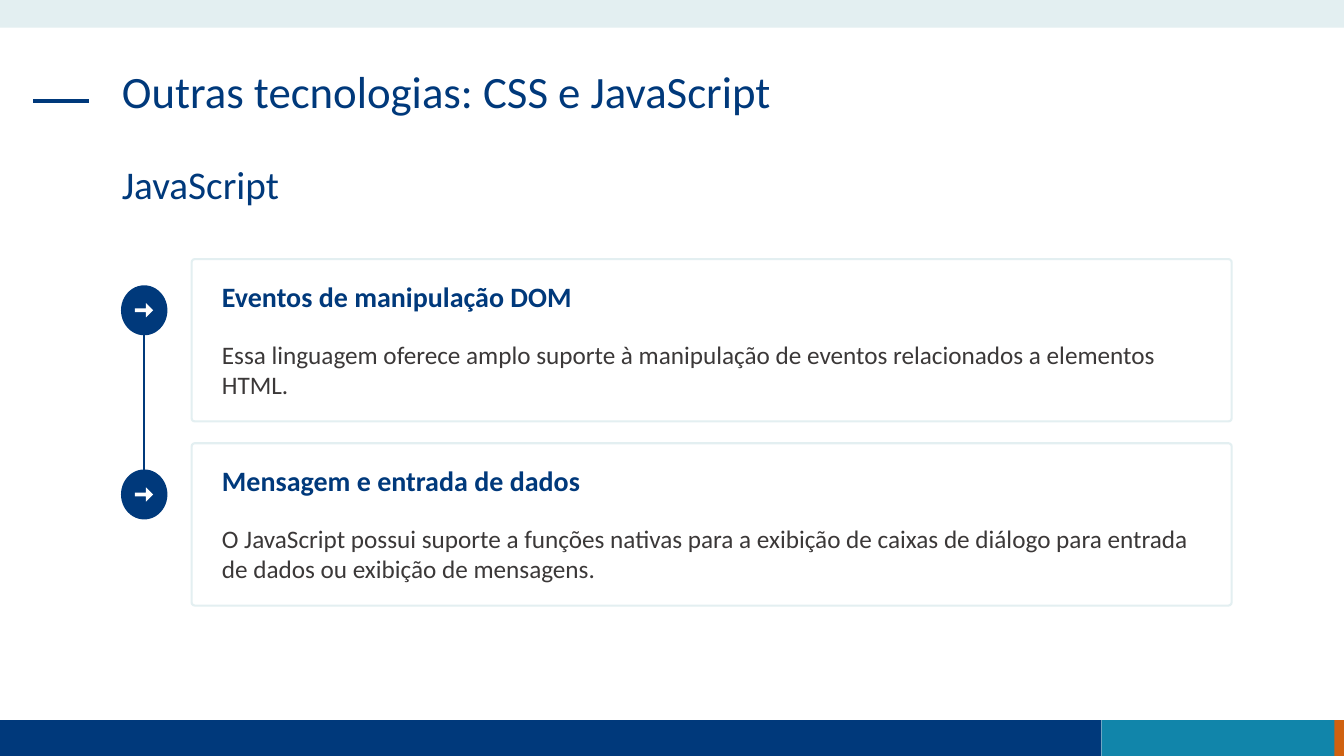
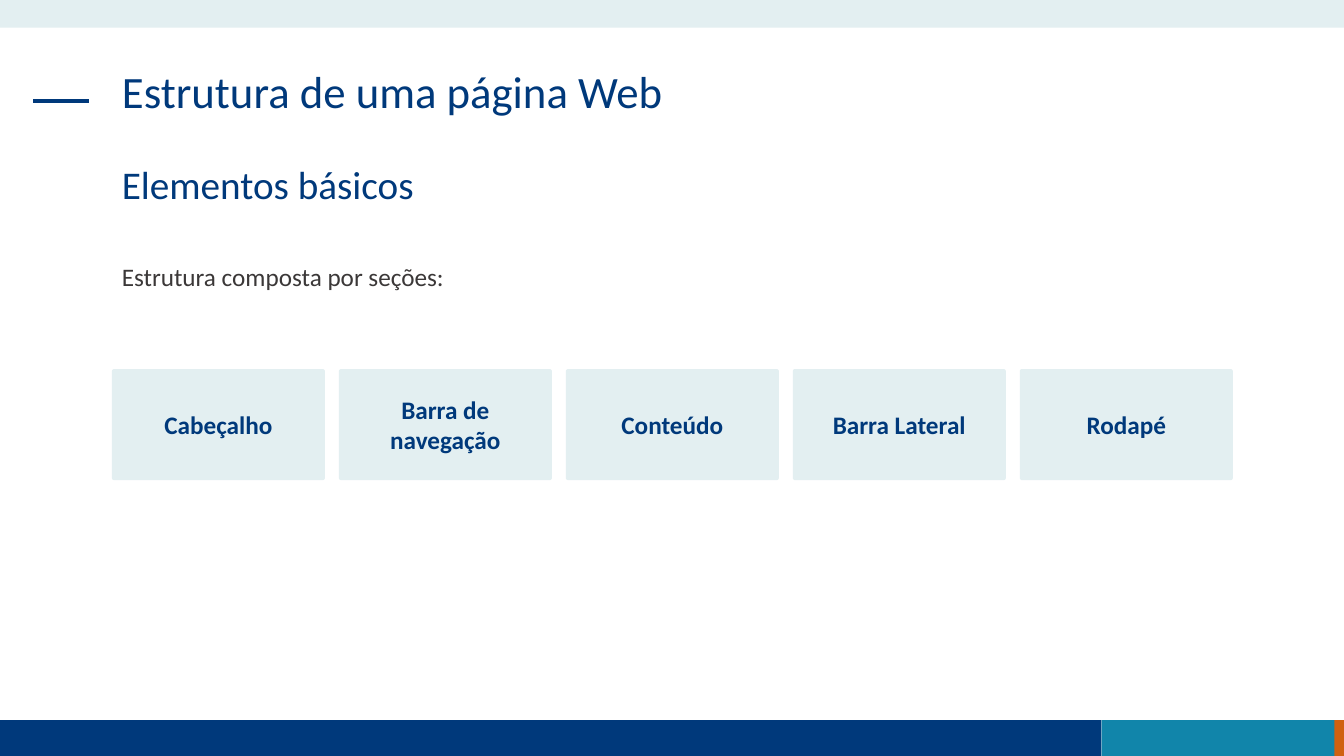
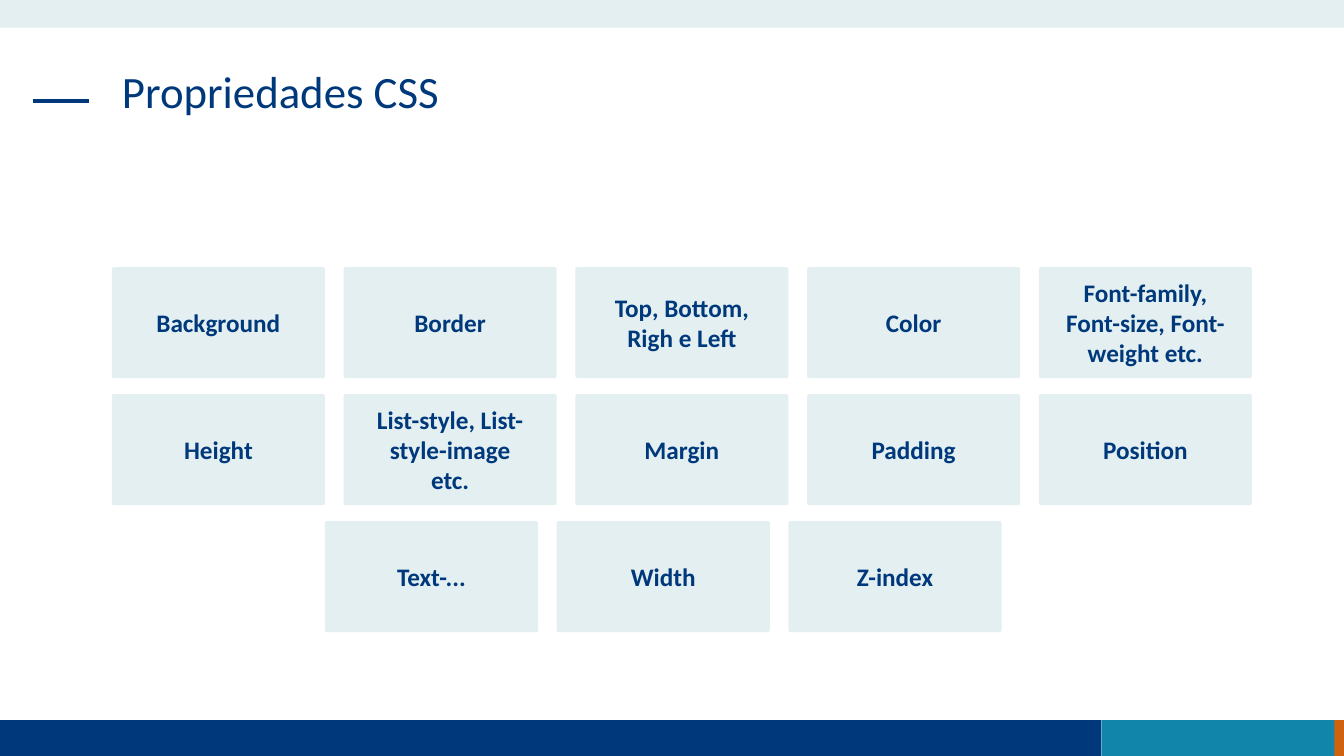
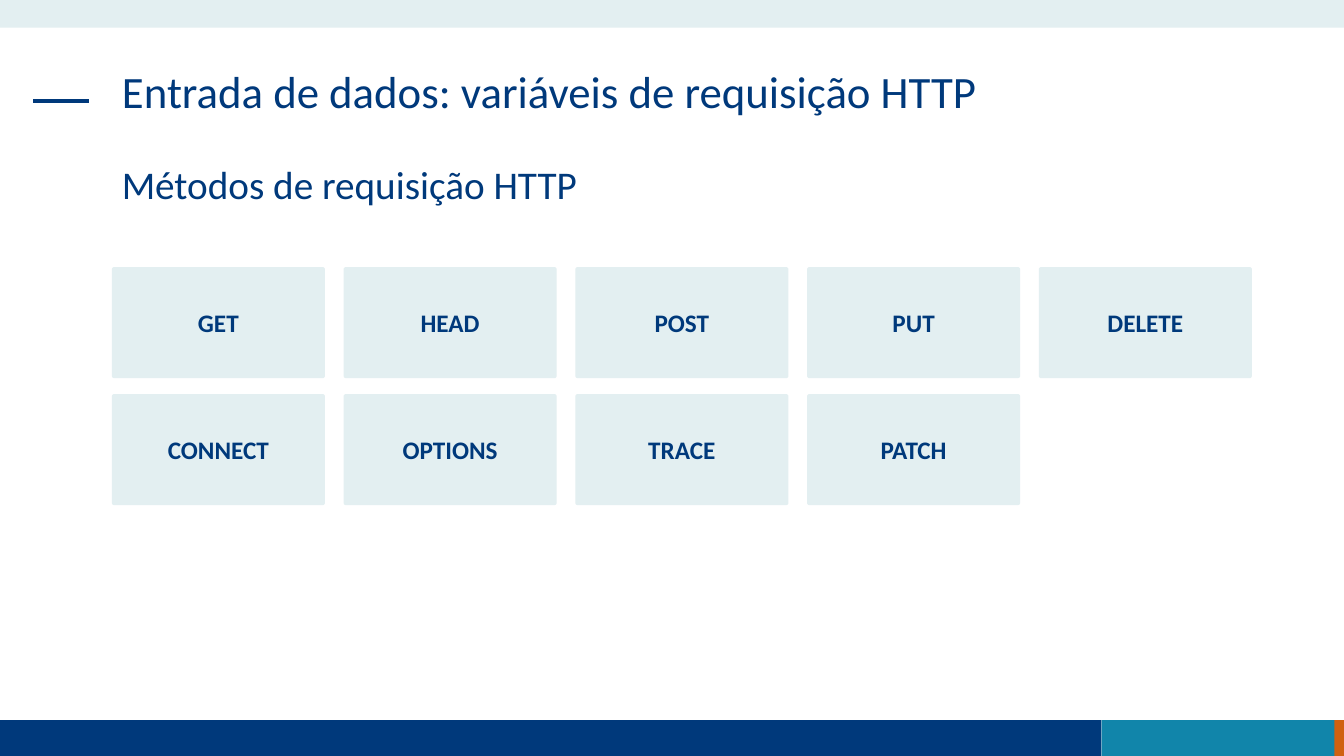
from lxml.etree import SubElement
from pptx import Presentation
from pptx.dml.color import RGBColor
from pptx.enum.shapes import MSO_CONNECTOR, MSO_SHAPE
from pptx.enum.text import MSO_ANCHOR, PP_ALIGN
from pptx.oxml.ns import qn
from pptx.util import Cm, Pt

COLORS = {
    "navy": "00397B",
    "teal": "1185AA",
    "orange": "D06110",
    "pale": "E3EFF1",
    "ink": "3B3838",
    "white": "FFFFFF",
}
FONT = "Calibri"
WIDTH, HEIGHT = 33.87, 19.05
LEFT, TEXT_WIDTH = 2.82, 28.19
TILE_WIDTH, TILE_HEIGHT = 5.37, 2.8
ROW_PITCH = 3.2
GRID_TOP, GRID_PITCH = 6.73, 5.84
BANDS = [
    ("orange", 32.82, 18.15, 1.05, 0.9),
    ("navy", 0, 18.15, 27.76, 0.9),
    ("teal", 27.76, 18.15, 5.87, 0.9),
    ("pale", 0, 0, WIDTH, 0.7),
]


def color(name):
    return RGBColor.from_string(COLORS[name])


class SlideBuilder:
    def __init__(self):
        self.deck = Presentation()
        self.deck.slide_width = Cm(WIDTH)
        self.deck.slide_height = Cm(HEIGHT)
        self.page = None

    def new_page(self, title, subtitle=None):
        self.page = self.deck.slides.add_slide(self.deck.slide_layouts[5])
        for fill, *place in BANDS:
            self.shape(MSO_SHAPE.RECTANGLE, *place, fill=fill)
        self.line(0.84, 2.54, 2.24, 2.54, 3)
        box = self.page.shapes.title
        box.left, box.top, box.width, box.height = Cm(LEFT), Cm(1.63), Cm(TEXT_WIDTH), Cm(2.39)
        self.fill_frame(box.text_frame, title, 32, spacing=0.9)
        if subtitle:
            self.text(subtitle, 4.04, 2.39, 28, spacing=0.9)

    def fill_frame(self, frame, text, size, ink="navy", bold=False,
                   align=PP_ALIGN.LEFT, anchor=MSO_ANCHOR.TOP, spacing=1.0):
        frame.word_wrap = True
        frame.vertical_anchor = anchor
        self.paragraph(frame.paragraphs[0], text, size, ink, bold, align, spacing)

    def paragraph(self, para, text, size, ink="navy", bold=False,
                  align=PP_ALIGN.LEFT, spacing=1.0):
        para.alignment = align
        para.line_spacing = spacing
        span = para.add_run()
        span.text = text
        span.font.name = FONT
        span.font.size = Pt(size)
        span.font.bold = bold
        span.font.color.rgb = color(ink)

    def text(self, text, top, height, size, **style):
        box = self.page.shapes.add_textbox(Cm(LEFT), Cm(top), Cm(TEXT_WIDTH), Cm(height))
        self.fill_frame(box.text_frame, text, size, **style)

    def shape(self, kind, left, top, width, height, fill=None, outline=None, adjust=()):
        box = self.page.shapes.add_shape(kind, Cm(left), Cm(top), Cm(width), Cm(height))
        box.shadow.inherit = False
        for index, value in enumerate(adjust):
            box.adjustments[index] = value
        if fill:
            box.fill.solid()
            box.fill.fore_color.rgb = color(fill)
        else:
            box.fill.background()
        if outline:
            box.line.color.rgb = color(outline)
            box.line.width = Pt(1.5)
        else:
            box.line.fill.background()
        return box

    def line(self, x1, y1, x2, y2, weight):
        rule = self.page.shapes.add_connector(
            MSO_CONNECTOR.STRAIGHT, Cm(x1), Cm(y1), Cm(x2), Cm(y2))
        rule.line.color.rgb = color("navy")
        rule.line.width = Pt(weight)
        SubElement(rule.element.spPr, qn("a:effectLst"))

    def tile(self, label, left, top):
        box = self.shape(MSO_SHAPE.ROUNDED_RECTANGLE, left, top, TILE_WIDTH, TILE_HEIGHT,
                         fill="pale", adjust=[0.02])
        frame = box.text_frame
        frame.margin_left = frame.margin_right = Cm(0.61)
        frame.margin_top = frame.margin_bottom = 0
        self.fill_frame(frame, label, 18, bold=True,
                        align=PP_ALIGN.CENTER, anchor=MSO_ANCHOR.MIDDLE)

    def tile_row(self, labels, top, pitch, left=LEFT):
        for column, label in enumerate(labels):
            self.tile(label, left + column * pitch, top)

    def card(self, heading, body, top):
        box = self.shape(MSO_SHAPE.ROUNDED_RECTANGLE, 4.83, top, 26.21, 4.09,
                         outline="pale", adjust=[0.02])
        frame = box.text_frame
        frame.margin_left, frame.margin_right = Cm(0.74), Cm(1.04)
        frame.margin_top, frame.margin_bottom = Cm(0.48), Cm(0.3)
        self.fill_frame(frame, heading, 20, bold=True)
        para = frame.add_paragraph()
        para.space_before = Pt(19)
        self.paragraph(para, body, 18, ink="ink")

    def marker(self, top):
        self.shape(MSO_SHAPE.OVAL, 3.05, top, 1.17, 1.26, fill="navy")
        self.shape(MSO_SHAPE.RIGHT_ARROW, 3.4, top + 0.45, 0.46, 0.36,
                   fill="white", adjust=[0.26, 0.5])

    def timeline(self, cards, top, pitch):
        tops = [top + index * pitch for index in range(len(cards))]
        self.line(3.62, tops[0] + 1.29, 3.62, tops[-1] + 1.29, 1.5)
        for (heading, body), card_top in zip(cards, tops):
            self.marker(card_top + 0.66)
            self.card(heading, body, card_top)


def main():
    builder = SlideBuilder()

    builder.new_page("Outras tecnologias: CSS e JavaScript", "JavaScript")
    builder.timeline([
        ("Eventos de manipulação DOM",
         "Essa linguagem oferece amplo suporte à manipulação de eventos "
         "relacionados a elementos HTML."),
        ("Mensagem e entrada de dados",
         "O JavaScript possui suporte a funções nativas para a exibição de caixas "
         "de diálogo para entrada de dados ou exibição de mensagens."),
    ], top=6.53, pitch=4.64)

    builder.new_page("Estrutura de uma página Web", "Elementos básicos")
    builder.text("Estrutura composta por seções:", 6.45, 1.02, 18,
                 ink="ink", anchor=MSO_ANCHOR.MIDDLE)
    builder.tile_row(["Cabeçalho", "Barra de navegação", "Conteúdo", "Barra Lateral", "Rodapé"],
                     9.3, 5.72)

    builder.new_page("Propriedades CSS")
    properties = [
        (LEFT, ["Background", "Border", "Top, Bottom, Righ e Left", "Color",
                "Font-family, Font-size, Font-weight etc."]),
        (LEFT, ["Height", "List-style, List-style-image etc.", "Margin", "Padding", "Position"]),
        (LEFT + TILE_WIDTH, ["Text-...", "Width", "Z-index"]),
    ]
    for row, (left, labels) in enumerate(properties):
        builder.tile_row(labels, GRID_TOP + row * ROW_PITCH, GRID_PITCH, left)

    builder.new_page("Entrada de dados: variáveis de requisição HTTP",
                     "Métodos de requisição HTTP")
    methods = [
        ["GET", "HEAD", "POST", "PUT", "DELETE"],
        ["CONNECT", "OPTIONS", "TRACE", "PATCH"],
    ]
    for row, labels in enumerate(methods):
        builder.tile_row(labels, GRID_TOP + row * ROW_PITCH, GRID_PITCH)

    builder.deck.save("out.pptx")


if __name__ == "__main__":
    main()
